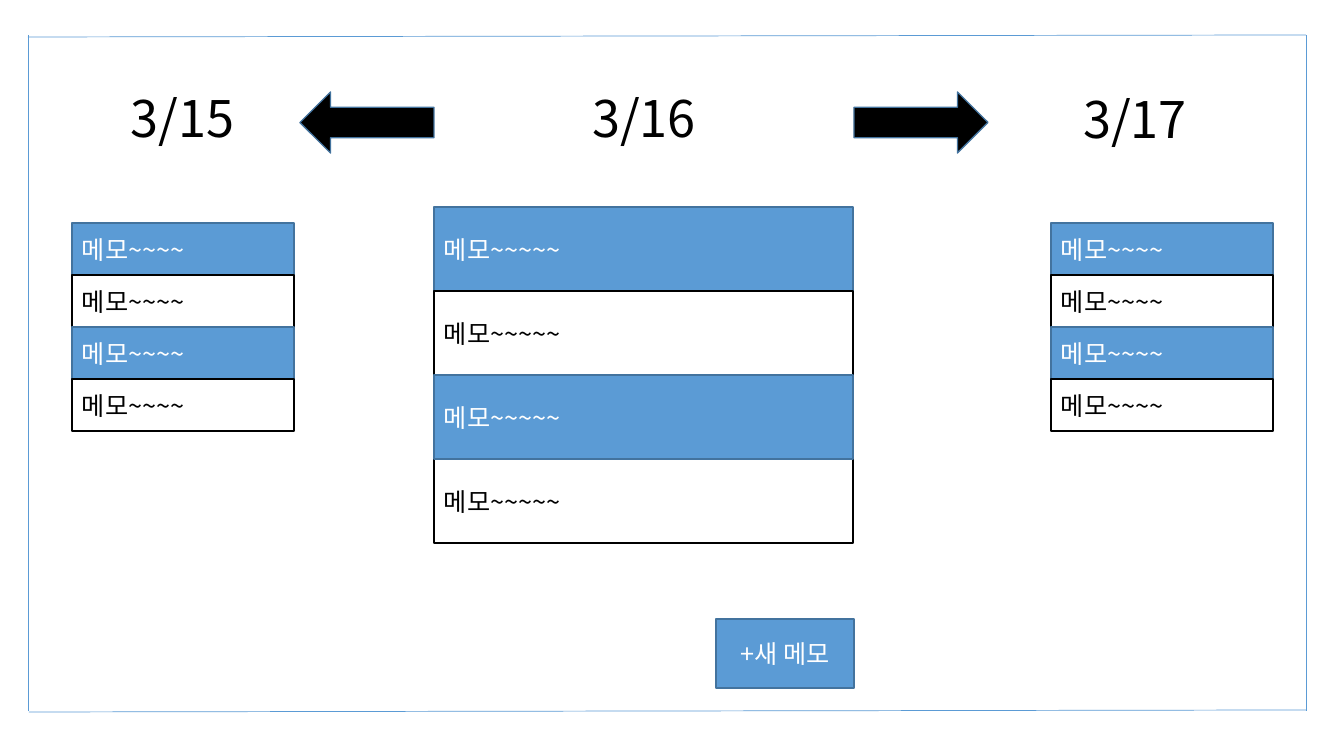
"""Build a memo planner slide with three dated columns of memos."""
from lxml import etree
from pptx import Presentation
from pptx import util as u
from pptx.dml.color import RGBColor
from pptx.enum import shapes, text
from pptx.oxml.ns import qn

FONT = "Noto Sans CJK KR"
COLORS = {"blue": "5B9BD5", "edge": "43739E", "black": "000000", "white": "FFFFFF"}
STYLES = [("blue", "edge", "white"), ("white", "black", "black")]
DATES = [("3/16", 477, 82, 334), ("3/17", 987, 83, 296), ("3/15", 51, 82, 263)]
ARROWS = [(854, 0), (300, 180)]
COLUMNS = [
    ("메모~~~~~", 434, 207, 419, 84, (0, 1, 3, 2)),
    ("메모~~~~", 1051, 223, 222, 52, (0, 1, 2, 3)),
    ("메모~~~~", 72, 223, 222, 52, (0, 1, 2, 3)),
]
FRAME = [(28, 37, 1306, 35), (28, 35, 28, 711), (1306, 35, 1306, 711), (29, 712, 1306, 710)]
BUTTON = ("+새 메모", 716, 619, 138, 69)
SCALE = 914400 / 100.8


def px(*values):
    return [u.Emu(round(v * SCALE)) for v in values]


def rgb(name):
    return RGBColor.from_string(COLORS[name])


def write(sp, content, size, color, align):
    tf = sp.text_frame
    tf.text = content
    tf.word_wrap = True
    p = tf.paragraphs[0]
    p.alignment = align
    font = p.runs[0].font
    font.size = u.Pt(size)
    font.color.rgb = rgb(color)
    font.name = FONT
    latin = font._element.find(qn("a:latin"))
    ea = etree.Element(qn("a:ea"), typeface=FONT)
    latin.addnext(ea)


def add_block(kind, box, fill, line):
    sp = s.shapes.add_shape(kind, *px(*box))
    sp.shadow.inherit = False
    sp.fill.solid()
    sp.fill.fore_color.rgb = rgb(fill)
    sp.line.color.rgb = rgb(line)
    sp.line.width = u.Pt(1)
    return sp


def add_label(content, box, style, align):
    fill, line, color = style
    sp = add_block(shapes.MSO_SHAPE.RECTANGLE, box, fill, line)
    sp.text_frame.vertical_anchor = text.MSO_ANCHOR.MIDDLE
    write(sp, content, 18, color, align)


prs = Presentation()
prs.slide_width, prs.slide_height = px(1344, 756)
s = prs.slides.add_slide(prs.slide_layouts[6])

for date, x, y, w in DATES:
    write(s.shapes.add_textbox(*px(x, y, w, 72)), date, 36, "black", text.PP_ALIGN.CENTER)

for x, angle in ARROWS:
    arrow = add_block(shapes.MSO_SHAPE.RIGHT_ARROW, (x, 92, 134, 61), "black", "edge")
    arrow.rotation = angle

for memo, x, y, w, h, order in COLUMNS:
    for row in order:
        add_label(memo, (x, y + row * h, w, h), STYLES[row % 2], text.PP_ALIGN.LEFT)

for ends in FRAME:
    side = s.shapes.add_connector(shapes.MSO_CONNECTOR.STRAIGHT, *px(*ends))
    side.line.color.rgb = rgb("blue")
    side.line.width = u.Pt(0.5)
    etree.SubElement(side._element.spPr, qn("a:effectLst"))

add_label(BUTTON[0], BUTTON[1:], STYLES[0], text.PP_ALIGN.CENTER)

prs.save("out.pptx")
